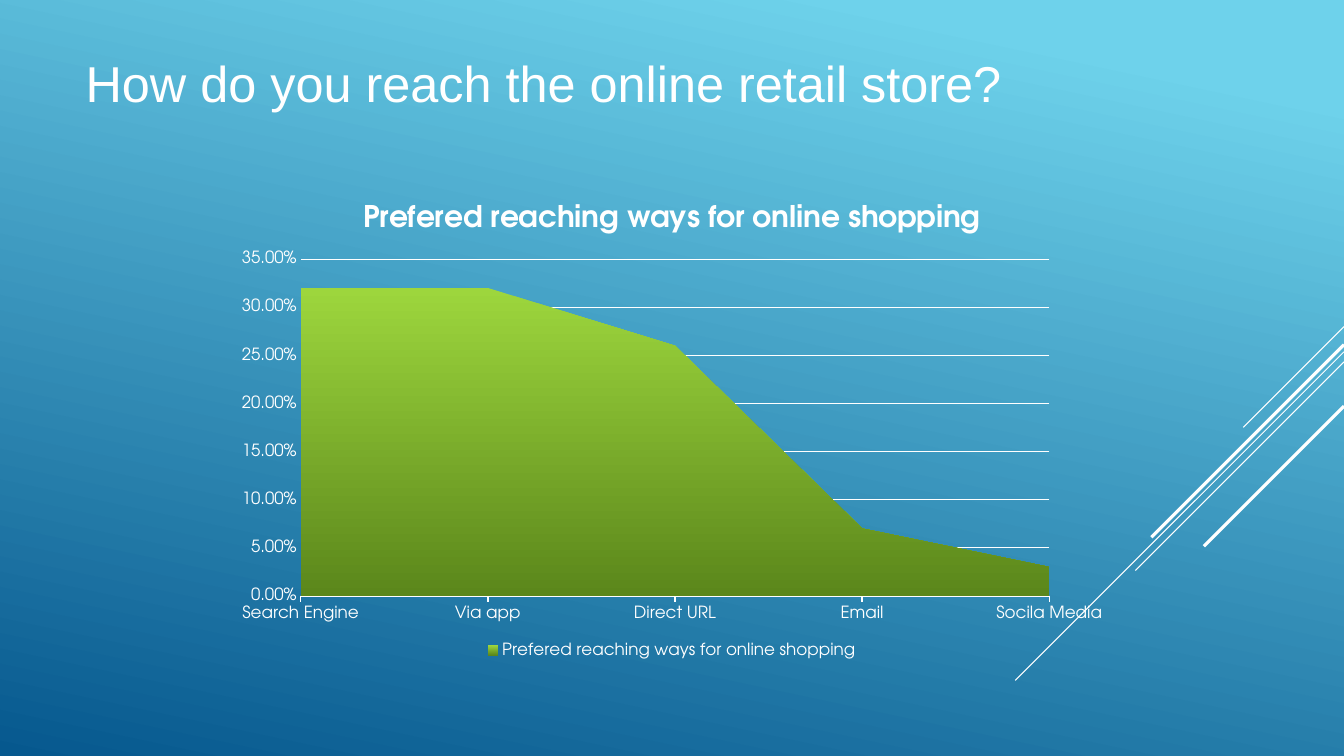
import pptx
import pptx.util
import pptx.chart.data
import pptx.dml.color
import pptx.enum.chart
import pptx.enum.shapes
import pptx.enum.text
from pptx.util import Inches, Pt
from lxml import etree

WHITE = pptx.dml.color.RGBColor(0xFF, 0xFF, 0xFF)
SKY = pptx.dml.color.RGBColor(0x6E, 0xD2, 0xEB)
DEEP_BLUE = pptx.dml.color.RGBColor(0x06, 0x58, 0x8E)
LIME = pptx.dml.color.RGBColor(0x9D, 0xD6, 0x3D)
OLIVE = pptx.dml.color.RGBColor(0x5B, 0x87, 0x1B)
CHART_FONT = "TeX Gyre Adventor"
CHART_HEADING = "Prefered reaching ways for online shopping"


def set_gradient(fill, first, last, angle, start=0):
    fill.gradient()
    fill.gradient_angle = 360 - angle
    for stop, color, position in zip(fill.gradient_stops, (first, last), (start, 1)):
        stop.color.rgb = color
        stop.position = position


def set_font(font, size, bold=False):
    font.name = CHART_FONT
    font.size = Pt(size)
    font.bold = bold
    font.color.rgb = WHITE


presentation = pptx.Presentation()
presentation.slide_width = Inches(13.33)
presentation.slide_height = Inches(7.5)
slide = presentation.slides.add_slide(presentation.slide_layouts[6])

# Background
set_gradient(slide.background.fill, SKY, DEEP_BLUE, 102, start=0.1)

# Diagonal lines rising to the right edge: top, horizontal run, width
for top, run, width in [(3.24, 1, 0.75), (3.49, 3.26, 0.75), (3.59, 2.07, 0.75),
                        (3.42, 1.91, 2.25), (4.03, 1.39, 2.25)]:
    diagonal = slide.shapes.add_connector(
        pptx.enum.shapes.MSO_CONNECTOR.STRAIGHT,
        Inches(13.33), Inches(top), Inches(13.33 - run), Inches(top + run))
    diagonal.line.color.rgb = WHITE
    diagonal.line.width = Pt(width)
    etree.SubElement(diagonal._element.spPr, pptx.oxml.ns.qn("a:effectLst"))

# Heading
heading = slide.shapes.add_textbox(Inches(0.75), Inches(0.37), Inches(9.33), Inches(0.89))
heading.text_frame.word_wrap = True
heading.text_frame.vertical_anchor = pptx.enum.text.MSO_ANCHOR.MIDDLE
question = heading.text_frame.paragraphs[0]
question.text = "How do you reach the online retail store?"
question.font.name = "Arial"
question.font.size = Pt(36)
question.font.color.rgb = WHITE

# Area chart of the ways to reach the store
reach_data = pptx.chart.data.CategoryChartData(number_format="0.00%")
reach_data.categories = ["Search Engine", "Via app", "Direct URL", "Email", "Socila Media"]
reach_data.add_series(CHART_HEADING, [0.32, 0.32, 0.26, 0.07, 0.03])
reach_chart = slide.shapes.add_chart(
    pptx.enum.chart.XL_CHART_TYPE.AREA_STACKED,
    Inches(2.22), Inches(1.8), Inches(8.89), Inches(4.77), reach_data).chart
set_font(reach_chart.font, 10)
set_gradient(reach_chart.plots[0].series[0].format.fill, LIME, OLIVE, 90)

reach_chart.has_title = True
chart_title = reach_chart.chart_title.text_frame.paragraphs[0]
chart_title.text = CHART_HEADING
set_font(chart_title.font, 21.3, bold=True)
reach_chart.chart_title.include_in_layout = False

reach_chart.has_legend = True
reach_chart.legend.position = pptx.enum.chart.XL_LEGEND_POSITION.BOTTOM
reach_chart.legend.include_in_layout = False
set_font(reach_chart.legend.font, 12)

# Axes
ways = reach_chart.category_axis
ways.has_major_gridlines = False
ways.major_tick_mark = pptx.enum.chart.XL_TICK_MARK.OUTSIDE
ways.format.line.color.rgb = WHITE
ways.format.line.width = Pt(1)

shares = reach_chart.value_axis
shares.minimum_scale = 0
shares.maximum_scale = 0.35
shares.major_unit = 0.05
shares.major_tick_mark = pptx.enum.chart.XL_TICK_MARK.NONE
shares.format.line.fill.background()
shares.has_major_gridlines = True
shares.major_gridlines.format.line.color.rgb = WHITE
shares.major_gridlines.format.line.width = Pt(0.75)
shares.tick_labels.number_format = "0.00%"
shares.tick_labels.number_format_is_linked = False

for axis in (ways, shares):
    axis.minor_tick_mark = pptx.enum.chart.XL_TICK_MARK.NONE
    set_font(axis.tick_labels.font, 12)

presentation.save("out.pptx")
